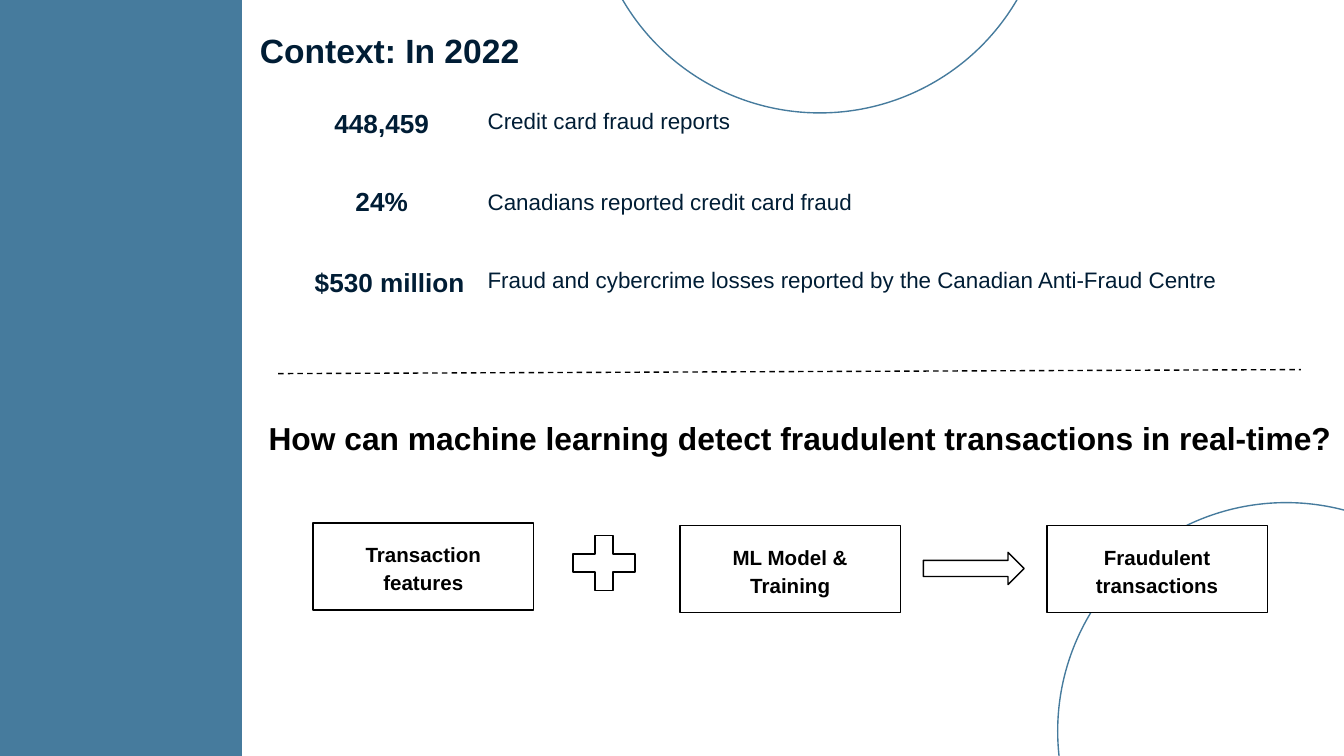
from pptx import Presentation
from pptx.dml.color import RGBColor
from pptx.enum.dml import MSO_LINE
from pptx.enum.shapes import MSO_CONNECTOR, MSO_SHAPE as Kind
from pptx.enum.text import MSO_ANCHOR, MSO_AUTO_SIZE, PP_ALIGN
from pptx.oxml.ns import qn
from pptx.util import Inches, Pt

WIDE = 10
HIGH = WIDE * 9 / 16
BLUE, NAVY, BLACK, WHITE = "467B9D", "001D35", "000000", "FFFFFF"
FONT = "Arial"

TITLE = "Context: In 2022"
QUERY = "How can machine learning detect fraudulent transactions in real-time?"
# figure, its left and top; label, its top and width
FACTS = [
    ("448,459", 1.2, 0.7, "Credit card fraud reports", 0.7, 3.28),
    ("24%", 1.2, 1.28, "Canadians reported credit card fraud", 1.3, 3.28),
    ("$530 million", 1.26, 1.88,
     "Fraud and cybercrime losses reported by the Canadian Anti-Fraud Centre",
     1.88, 5.83),
]
STEPS = [
    ("Transaction features", 3.89),
    ("ML Model & Training", 3.91),
    ("Fraudulent transactions", 3.91),
]
SIGNS = [
    (Kind.RIGHT_ARROW, (6.87, 4.11, 0.75, 0.24), (0.5, 0.5)),
    (Kind.MATH_PLUS, (4.18, 3.91, 0.63, 0.56), (0.235,)),
]
RINGS = [(4.4, -2.56), (7.87, 3.74)]
RING = 3.4
STEP_X, STEP_GAP, STEP_W, STEP_H = 2.33, 2.73, 1.64, 0.65


def color(code):
    return RGBColor.from_string(code)


def write(shape, text, size, ink, bold=True, center=True, loose=False):
    """Put one styled run in a shape; loose adds line and paragraph space."""
    frame = shape.text_frame
    frame.word_wrap = True
    frame.margin_left = frame.margin_right = Inches(0.1)
    frame.margin_top = frame.margin_bottom = Inches(0.1)
    para = frame.paragraphs[0]
    para.alignment = PP_ALIGN.CENTER if center else PP_ALIGN.LEFT
    if loose:
        para.line_spacing = 1.15
        para.space_before = para.space_after = Pt(12)
    run = para.add_run()
    run.text = text
    font = run.font
    font.name, font.size, font.bold = FONT, Pt(size), bold
    font.color.rgb = color(ink)


def label(slide, box, text, size, ink=NAVY, **style):
    shape = slide.shapes.add_textbox(*map(Inches, box))
    write(shape, text, size, ink, **style)
    shape.text_frame.auto_size = MSO_AUTO_SIZE.SHAPE_TO_FIT_TEXT


def draw(slide, kind, box, fill=None, line=None):
    shape = slide.shapes.add_shape(kind, *map(Inches, box))
    shape.shadow.inherit = False
    if fill:
        shape.fill.solid()
        shape.fill.fore_color.rgb = color(fill)
    else:
        shape.fill.background()
    if line:
        shape.line.color.rgb = color(line)
        shape.line.width = Pt(0.75)
    else:
        shape.line.fill.background()
    return shape


def divide(slide, start, end):
    rule = slide.shapes.add_connector(
        MSO_CONNECTOR.STRAIGHT, *map(Inches, start + end))
    rule.line.color.rgb = color(BLACK)
    rule.line.width = Pt(0.75)
    rule.line.dash_style = MSO_LINE.DASH
    props = rule._element.spPr
    props.append(props.makeelement(qn("a:effectLst"), {}))


def main():
    deck = Presentation()
    deck.slide_width, deck.slide_height = Inches(WIDE), Inches(HIGH)
    slide = deck.slides.add_slide(deck.slide_layouts[6])

    for left, top in RINGS:
        draw(slide, Kind.OVAL, (left, top, RING, RING), line=BLUE)
    draw(slide, Kind.RECTANGLE, (0, 0, 0.18 * WIDE, HIGH), fill=BLUE)

    label(slide, (1.26, 0.12, 3.28, 0.5), TITLE, 18)
    for figure, left, top, text, text_top, width in FACTS:
        label(slide, (left, top, 3.28, 0.44), figure, 14)
        label(slide, (3.53, text_top, width, 0.4), text, 12,
              bold=False, center=False)

    divide(slide, (2.07, 2.78), (9.68, 2.75))
    label(slide, (1.9, 2.97, 8.57, 0.49), QUERY, 17, BLACK,
          center=False, loose=True)

    for col, (text, top) in enumerate(STEPS):
        box = (STEP_X + col * STEP_GAP, top, STEP_W, STEP_H)
        step = draw(slide, Kind.RECTANGLE, box, WHITE, BLACK)
        write(step, text, 11, BLACK, loose=True)
        step.text_frame.vertical_anchor = MSO_ANCHOR.MIDDLE
    for kind, box, bends in SIGNS:
        sign = draw(slide, kind, box, WHITE, BLACK)
        for i, bend in enumerate(bends):
            sign.adjustments[i] = bend

    deck.save("out.pptx")


if __name__ == "__main__":
    main()
